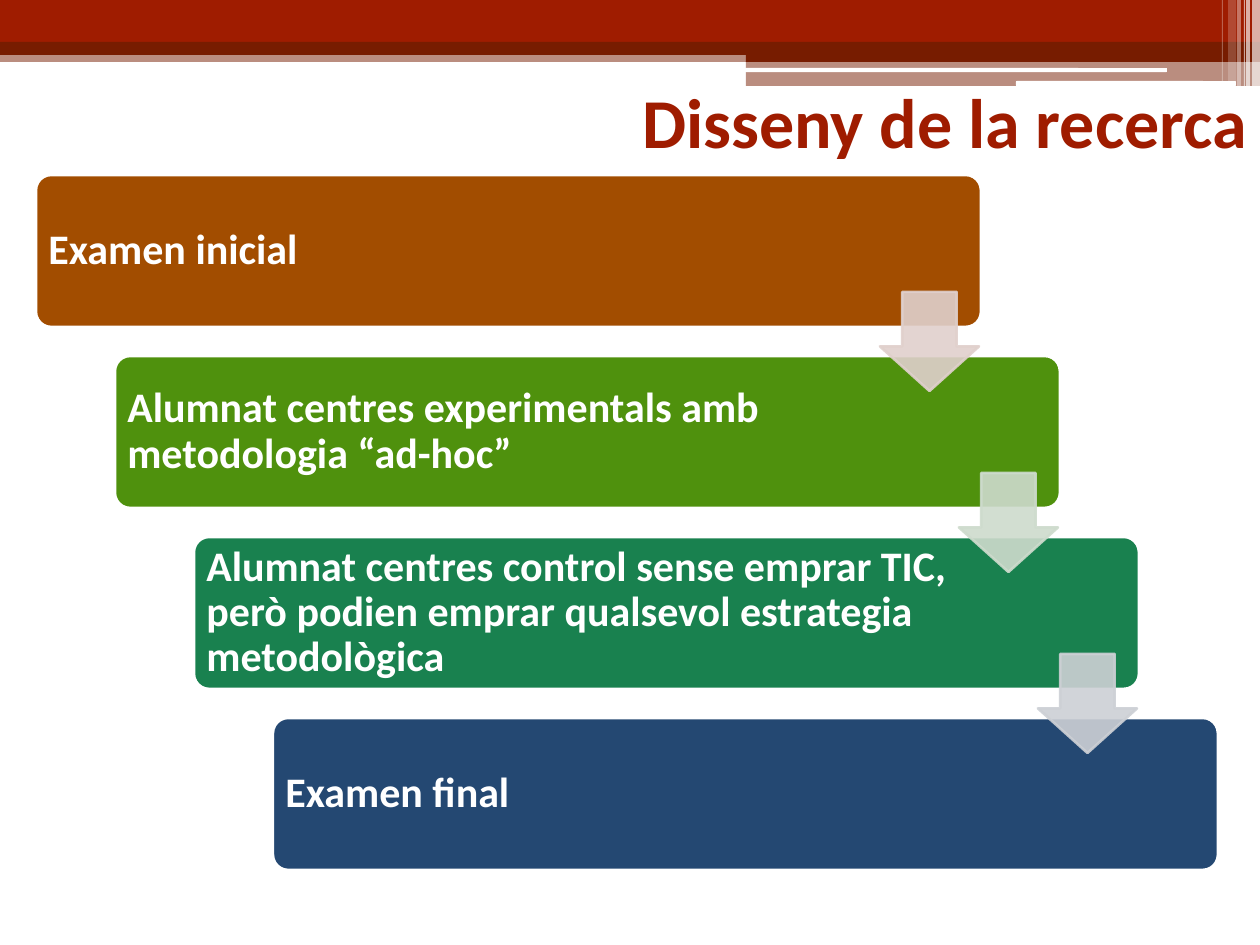
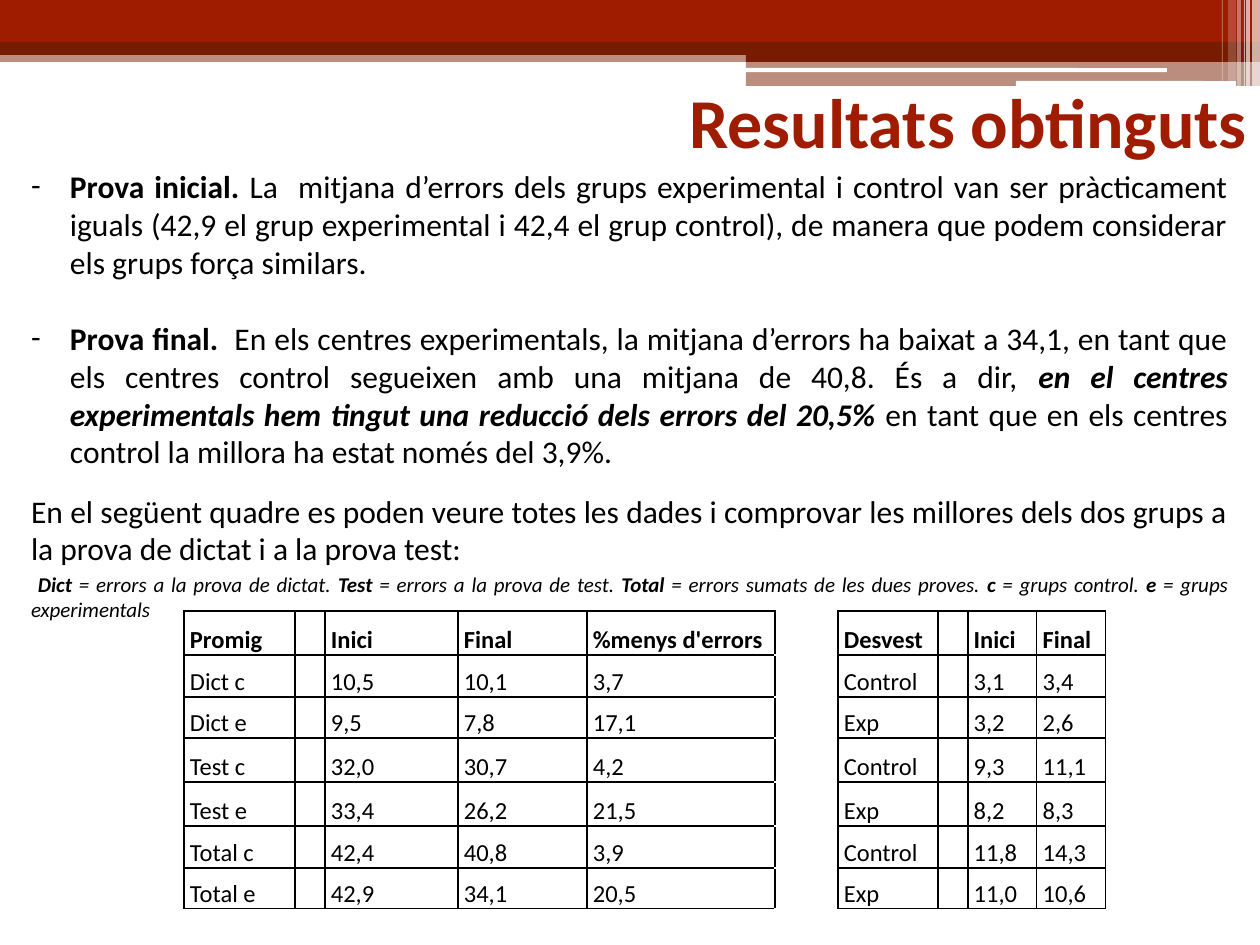
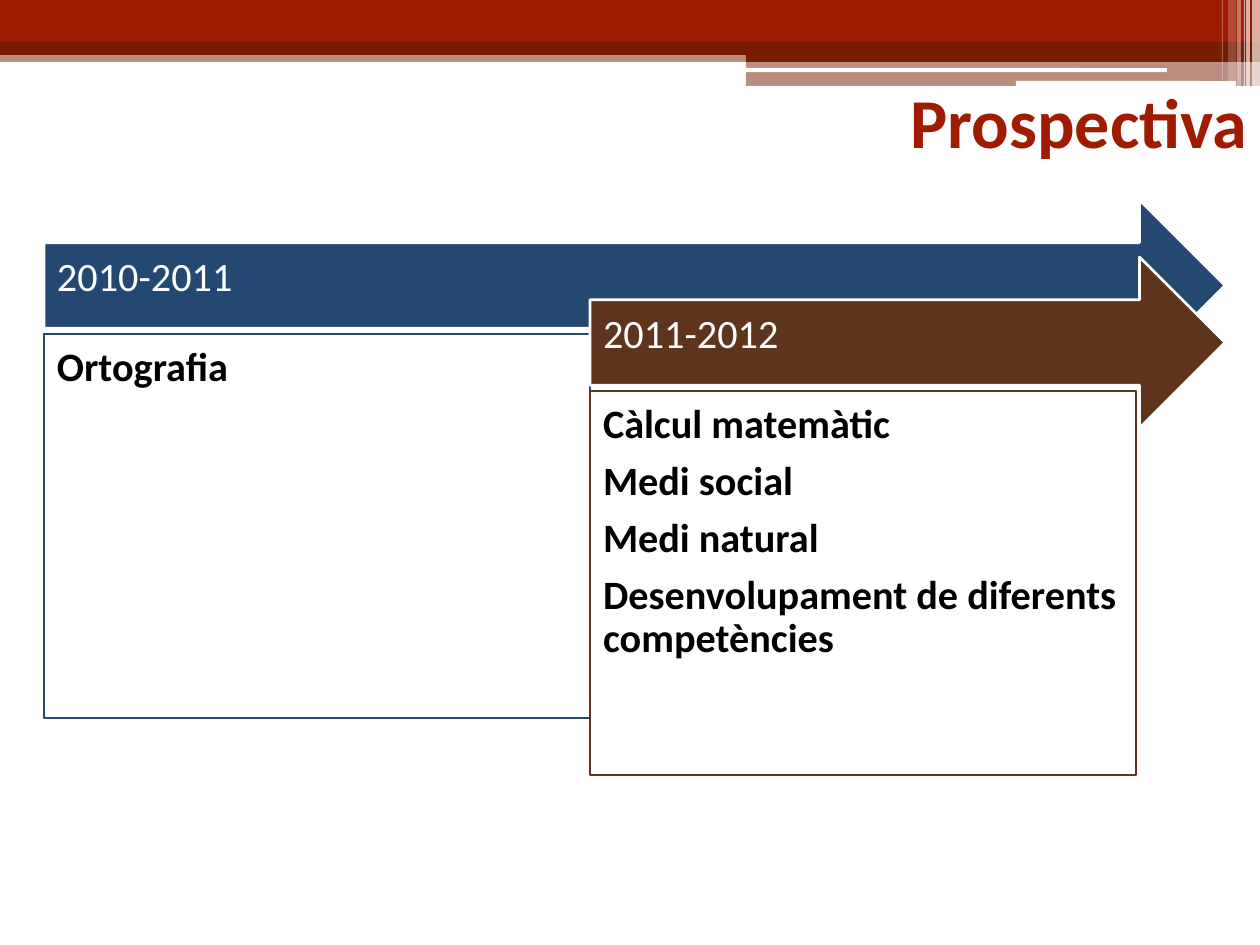
import dataclasses
import itertools

import lxml.etree
import pptx
import pptx.dml.color
import pptx.enum.shapes
import pptx.enum.text
import pptx.oxml.ns
import pptx.util

SHAPES = pptx.enum.shapes.MSO_SHAPE
ALIGN = pptx.enum.text.PP_ALIGN
ANCHOR = pptx.enum.text.MSO_ANCHOR
AUTO_SIZE = pptx.enum.text.MSO_AUTO_SIZE
qn = pptx.oxml.ns.qn


@dataclasses.dataclass(frozen=True)
class Theme:
    font: str = "Calibri"
    red: str = "9F1C00"
    dark_red: str = "771C00"
    white: str = "FFFFFF"
    black: str = "000000"
    navy: str = "244872"
    brown: str = "5E341C"
    title_size: int = 40
    step_size: int = 24
    stage_size: int = 23
    body_size: int = 18
    cell_size: int = 14
    legend_size: int = 12
    outline: float = 1.5


THEME = Theme()
PAGE_WIDTH, PAGE_HEIGHT = 1260, 945
TITLE_AREA = (189, 78, 1071, 86)

# kind, area, colour, opacity in percent
BANDS = [
    (SHAPES.RECTANGLE, (0, 50, 1260, 12), THEME.dark_red, 50),
    (SHAPES.RECTANGLE, (0, 0, 1260, 43), THEME.red, 100),
    (SHAPES.RECTANGLE, (0, 42, 1260, 13), THEME.dark_red, 100),
    (SHAPES.RECTANGLE, (746, 49, 514, 13), THEME.dark_red, 100),
    (SHAPES.RECTANGLE, (746, 61, 514, 25), THEME.dark_red, 50),
    (SHAPES.ROUNDED_RECTANGLE, (745, 68, 422, 4), THEME.white, 100),
    (SHAPES.ROUNDED_RECTANGLE, (1016, 81, 220, 5), THEME.white, 100),
]
# left, width, height, opacity in percent
STRIPES = [(1252, 8, 86, 65), (1246, 4, 86, 65), (1244, 1, 86, 60),
           (1237, 4, 86, 40), (1228, 8, 81, 20), (1222, 1, 81, 30)]

DESIGN_TITLE = "Disseny de la recerca"
# text, box colour, colour of the arrow that follows
STEPS = [
    ("Examen inicial", "A24D00", "E0D0CC"),
    ("Alumnat centres experimentals amb metodologia “ad-hoc”", "4F910D", "CEDBCD"),
    ("Alumnat centres control sense emprar TIC, però podien emprar qualsevol "
     "estrategia metodològica", "19814F", "CDD0D5"),
    ("Examen final", THEME.navy, None),
]

RESULTS_TITLE = "Resultats obtinguts"
RESULTS_AREA = (18, 159, 1223, 471)
# Each span is text and style: b for bold, i for italic
RESULTS = [
    {"bullet": "-", "size": THEME.body_size, "before": 0, "spans": [
        ("Prova inicial. ", "b"),
        ("La  mitjana d’errors dels grups experimental i control van ser pràcticament "
         "iguals (42,9 el grup experimental i 42,4 el grup control), de manera que "
         "podem considerar els grups força similars.", "")]},
    {"bullet": "-", "size": THEME.body_size, "before": 22, "spans": [
        ("Prova final.  ", "b"),
        ("En els centres experimentals, la mitjana d’errors ha baixat a 34,1, en tant "
         "que els centres control segueixen amb una mitjana de 40,8. És a dir, ", ""),
        ("en el centres experimentals hem tingut una reducció dels errors del 20,5%", "bi"),
        (" en tant que en els centres control la millora ha estat només del 3,9%.", "")]},
    {"bullet": None, "size": THEME.body_size, "before": 12.2, "spans": [
        ("En el següent quadre es poden veure totes les dades i comprovar les millores "
         "dels dos grups a la prova de dictat i a la prova test:", "")]},
    {"bullet": None, "size": THEME.legend_size, "before": 2.4, "spans": [
        (" Dict", "bi"), (" = errors a la prova de dictat. ", "i"),
        ("Test ", "bi"), ("= errors a la prova de test. ", "i"),
        ("Total", "bi"), (" = errors sumats de les dues proves. ", "i"),
        ("c ", "bi"), ("= grups control. ", "i"),
        ("e", "bi"), (" = grups experimentals", "i")]},
]
TABLE_CORNER = (184, 611)
COLUMN_WIDTHS = [111, 30, 133, 129, 188, 63, 100, 30, 69, 69]
ROW_HEIGHTS = [44, 42, 41, 44, 44, 42, 41]
GAP_COLUMN = 5
TABLE = [
    ("Promig", "", "Inici", "Final", "%menys d'errors", "", "Desvest", "", "Inici", "Final"),
    ("Dict c", "", "10,5", "10,1", "3,7", "", "Control", "", "3,1", "3,4"),
    ("Dict e", "", "9,5", "7,8", "17,1", "", "Exp", "", "3,2", "2,6"),
    ("Test c", "", "32,0", "30,7", "4,2", "", "Control", "", "9,3", "11,1"),
    ("Test e", "", "33,4", "26,2", "21,5", "", "Exp", "", "8,2", "8,3"),
    ("Total c", "", "42,4", "40,8", "3,9", "", "Control", "", "11,8", "14,3"),
    ("Total e", "", "42,9", "34,1", "20,5", "", "Exp", "", "11,0", "10,6"),
]

OUTLOOK_TITLE = "Prospectiva"
STAGES = [
    ("2010-2011", THEME.navy, ["Ortografia"]),
    ("2011-2012", THEME.brown, ["Càlcul matemàtic", "Medi social", "Medi natural",
                                "Desenvolupament de diferents competències"]),
]


def px(length):
    return pptx.util.Emu(round(length * 914400 / 126))


def rgb(color):
    return pptx.dml.color.RGBColor.from_string(color)


def apply(target, values):
    for name, value in values.items():
        setattr(target, name, value)


def place(shape, area):
    apply(shape, dict(zip(("left", "top", "width", "height"), map(px, area))))


def set_frame(frame, insets, anchor):
    """Insets are left, top, right and bottom in px."""
    apply(frame, {"word_wrap": True, "auto_size": AUTO_SIZE.NONE, "vertical_anchor": anchor})
    names = ("margin_left", "margin_top", "margin_right", "margin_bottom")
    apply(frame, dict(zip(names, map(px, insets))))


def add_span(para, text, size, color, bold=False, italic=False):
    span = para.add_run()
    span.text = text
    apply(span.font, {"name": THEME.font, "size": pptx.util.Pt(size),
                      "bold": bold, "italic": italic})
    span.font.color.rgb = rgb(color)


def paragraphs(frame, count):
    return [frame.paragraphs[0]] + [frame.add_paragraph() for _ in range(count - 1)]


def add_panel(page, kind, area, fill, line=None, opacity=100):
    panel = page.shapes.add_shape(kind, *map(px, area))
    panel.shadow.inherit = False
    panel.fill.solid()
    panel.fill.fore_color.rgb = rgb(fill)
    if line:
        panel.line.color.rgb = rgb(line)
        panel.line.width = pptx.util.Pt(THEME.outline)
    else:
        panel.line.fill.background()
    if opacity < 100:
        for color in panel.element.iter(qn("a:srgbClr")):
            lxml.etree.SubElement(color, qn("a:alpha"), val=str(opacity * 1000))
    return panel


def write_lines(panel, lines, size, color, insets, anchor, bold):
    set_frame(panel.text_frame, insets, anchor)
    for para, line in zip(paragraphs(panel.text_frame, len(lines)), lines):
        apply(para, {"alignment": ALIGN.LEFT, "line_spacing": 0.9,
                     "space_after": pptx.util.Pt(7.6)})
        add_span(para, line, size, color, bold)


def add_page(deck, layout, title):
    page = deck.slides.add_slide(deck.slide_layouts.get_by_name(layout))
    box = page.shapes.title
    place(box, TITLE_AREA)
    set_frame(box.text_frame, (13, 6, 13, 6), ANCHOR.MIDDLE)
    para = box.text_frame.paragraphs[0]
    para.alignment = ALIGN.RIGHT
    add_span(para, title, THEME.title_size, THEME.red, bold=True)
    return page


def move_bands_to_master(deck, page):
    """Draw the bands on a page, then move them behind the master's placeholders."""
    stripes = [(SHAPES.RECTANGLE, (left, 0, width, height), THEME.white, opacity)
               for left, width, height, opacity in STRIPES]
    tree = deck.slide_master.shapes.element
    for position, (kind, area, color, opacity) in enumerate(BANDS + stripes, start=2):
        band = add_panel(page, kind, area, color, opacity=opacity)
        tree.insert(position, band.element)


def draw_steps(page):
    origin, pitch = (36, 175), (79, 181)
    corners = [(origin[0] + i * pitch[0], origin[1] + i * pitch[1]) for i in range(len(STEPS))]
    for (left, top), (text, color, _) in zip(corners, STEPS):
        box = add_panel(page, SHAPES.ROUNDED_RECTANGLE, (left, top, 945, 152), color, THEME.white)
        box.adjustments[0] = 0.1
        write_lines(box, [text], THEME.step_size, THEME.white, (8, 8, 186, 8),
                    ANCHOR.MIDDLE, bold=True)
    for (left, top), (_, _, color) in zip(corners, STEPS[:-1]):
        arrow = add_panel(page, SHAPES.DOWN_ARROW, (left + 844, top + 117, 99, 99),
                          color, color, opacity=90)
        arrow.adjustments[0], arrow.adjustments[1] = 0.55, 0.45


def set_bullet(para, bullet):
    properties = para._p.get_or_add_pPr()
    indent = px(39) if bullet else 0
    properties.set("marL", str(indent))
    properties.set("indent", str(-indent))
    if bullet:
        lxml.etree.SubElement(properties, qn("a:buFont"), typeface=THEME.font)
        lxml.etree.SubElement(properties, qn("a:buChar"), char=bullet)
    else:
        lxml.etree.SubElement(properties, qn("a:buNone"))


def write_results(page):
    body = page.placeholders[1]
    place(body, RESULTS_AREA)
    set_frame(body.text_frame, (13, 6, 13, 6), ANCHOR.MIDDLE)
    for para, item in zip(paragraphs(body.text_frame, len(RESULTS)), RESULTS):
        set_bullet(para, item["bullet"])
        apply(para, {"alignment": ALIGN.JUSTIFY, "space_before": pptx.util.Pt(item["before"])})
        for text, style in item["spans"]:
            add_span(para, text, item["size"], THEME.black, "b" in style, "i" in style)


def add_borders(cell, sides):
    properties = cell._tc.get_or_add_tcPr()
    for side in sides:
        line = lxml.etree.SubElement(properties, qn(f"a:ln{side}"), w=str(pptx.util.Pt(1)))
        fill = lxml.etree.SubElement(line, qn("a:solidFill"))
        lxml.etree.SubElement(fill, qn("a:srgbClr"), val=THEME.black)


def draw_table(page):
    area = (*TABLE_CORNER, sum(COLUMN_WIDTHS), sum(ROW_HEIGHTS))
    table = page.shapes.add_table(len(TABLE), len(COLUMN_WIDTHS), *map(px, area)).table
    apply(table, {"first_row": False, "horz_banding": False})
    for column, width in zip(table.columns, COLUMN_WIDTHS):
        column.width = px(width)
    for row, height in zip(table.rows, ROW_HEIGHTS):
        row.height = px(height)
    for r, c in itertools.product(range(len(TABLE)), range(len(COLUMN_WIDTHS))):
        cell = table.cell(r, c)
        add_borders(cell, "LR" if c == GAP_COLUMN else "LRTB")
        cell.fill.background()
        apply(cell, {"vertical_anchor": ANCHOR.BOTTOM, "margin_left": px(6),
                     "margin_right": px(6), "margin_top": 0, "margin_bottom": 0})
        para = cell.text_frame.paragraphs[0]
        if TABLE[r][c]:
            apply(para, {"alignment": ALIGN.JUSTIFY, "line_spacing": 1.15,
                         "space_after": pptx.util.Pt(10)})
            add_span(para, TABLE[r][c], THEME.cell_size, THEME.black, bold=r == 0)
        else:
            lxml.etree.SubElement(para._p, qn("a:endParaRPr"), sz=str(THEME.cell_size * 100))


def draw_stages(page):
    right, panel_width = 1225, 546
    for i, (period, color, subjects) in enumerate(STAGES):
        left, top = 44 + i * panel_width, 200 + i * 57
        arrow = add_panel(page, SHAPES.RIGHT_ARROW, (left, top, right - left, 171),
                          color, THEME.white)
        write_lines(arrow, [period], THEME.stage_size, THEME.white, (13, 13, 35, 28),
                    ANCHOR.MIDDLE, bold=False)
        panel = add_panel(page, SHAPES.RECTANGLE, (left, top + 134, panel_width, 384),
                          THEME.white, color)
        write_lines(panel, subjects, THEME.stage_size, THEME.black, (13, 13, 13, 13),
                    ANCHOR.TOP, bold=True)


def main():
    deck = pptx.Presentation()
    apply(deck, {"slide_width": px(PAGE_WIDTH), "slide_height": px(PAGE_HEIGHT)})

    design = add_page(deck, "Title Only", DESIGN_TITLE)
    move_bands_to_master(deck, design)
    draw_steps(design)

    results = add_page(deck, "Title and Content", RESULTS_TITLE)
    write_results(results)
    draw_table(results)

    outlook = add_page(deck, "Title Only", OUTLOOK_TITLE)
    draw_stages(outlook)

    deck.save("out.pptx")


if __name__ == "__main__":
    main()
